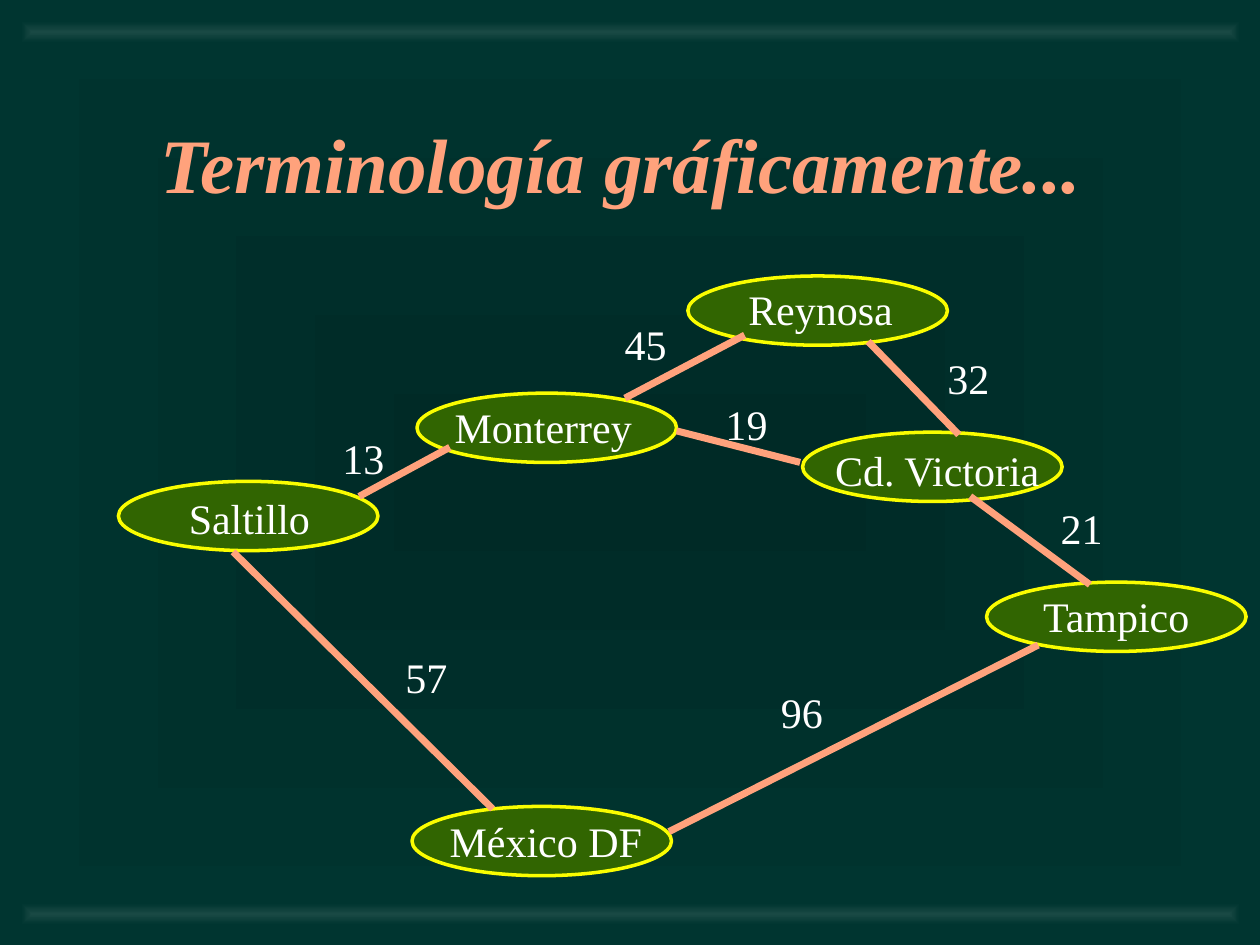
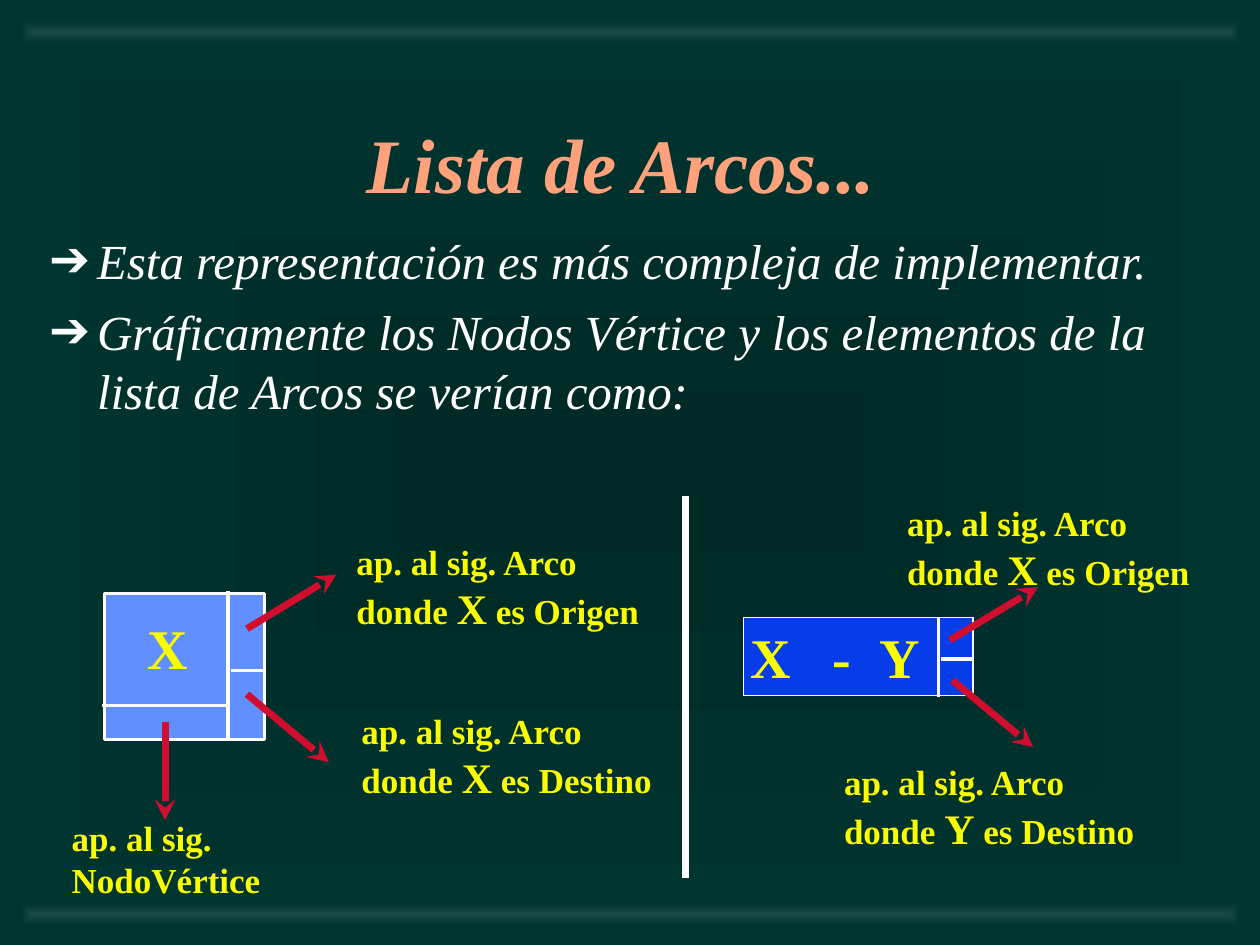
from pptx import Presentation
from pptx.dml.color import RGBColor
from pptx.enum.shapes import MSO_CONNECTOR, MSO_SHAPE
from pptx.enum.text import MSO_ANCHOR, MSO_AUTO_SIZE, PP_ALIGN
from pptx.oxml import parse_xml
from pptx.oxml.ns import nsdecls, qn
from pptx.util import Inches, Pt

LINE = MSO_CONNECTOR.STRAIGHT
RECT, OVAL = MSO_SHAPE.RECTANGLE, MSO_SHAPE.OVAL
NONE, MID, CENTER = MSO_AUTO_SIZE.NONE, MSO_ANCHOR.MIDDLE, PP_ALIGN.CENTER

FONT = "Times New Roman"
DARK = RGBColor(0x00, 0x2A, 0x26)
TEAL = RGBColor(0x00, 0x35, 0x30)
BAND = RGBColor(0x19, 0x49, 0x44)
SALMON = RGBColor(0xFF, 0xA2, 0x7C)
YELLOW = RGBColor(0xFA, 0xFD, 0x00)
GREEN = RGBColor(0x31, 0x65, 0x01)
WHITE = RGBColor(0xFF, 0xFF, 0xFF)
SKY = RGBColor(0x61, 0x8F, 0xFD)
BLUE = RGBColor(0x06, 0x3D, 0xE8)
RED = RGBColor(0xCF, 0x0E, 0x30)

# Graph: name, oval corner, label box (left, top, width)
CITIES = [
    ("Monterrey", (3.31, 3.12), (3.51, 3.14, 1.61)),
    ("Saltillo", (0.94, 3.82), (1.4, 3.86, 1.17)),
    ("México DF", (3.27, 6.4), (3.47, 6.42, 1.73)),
    ("Reynosa", (5.46, 2.19), (5.84, 2.2, 1.35)),
    ("Cd. Victoria", (6.37, 3.43), (6.53, 3.48, 1.85)),
    ("Tampico", (7.83, 4.62), (8.18, 4.64, 1.39)),
]
# Graph: weight, weight corner, start, end
ROADS = [
    ("13", (2.62, 3.38), (2.85, 3.94), (3.57, 3.55)),
    ("96", (6.1, 5.4), (5.31, 6.6), (8.24, 5.12)),
    ("57", (3.12, 5.12), (1.85, 4.38), (3.91, 6.42)),
    ("45", (4.86, 2.48), (4.96, 3.16), (5.91, 2.66)),
    ("32", (7.42, 2.75), (7.61, 3.45), (6.89, 2.71)),
    ("21", (8.32, 3.94), (8.65, 4.64), (7.7, 3.94)),
    ("19", (5.66, 3.11), (6.35, 3.67), (5.37, 3.42)),
]

# Arc list: bullets, boxes, inner lines, arrows and labels
POINTS = [
    "Esta representación es más compleja de implementar.",
    "Gráficamente los Nodos Vértice y los elementos de la lista de Arcos "
    "se verían como:",
]
NODES = [
    ((0.83, 4.71, 1.27, 1.16), SKY, 2),
    ((5.9, 4.9, 1.82, 0.62), BLUE, 1),
]
CUTS = [
    ((1.81, 4.69), (1.81, 5.88)),
    ((0.81, 5.6), (1.81, 5.6)),
    ((1.83, 5.32), (2.09, 5.32)),
    ((7.45, 4.9), (7.45, 5.53)),
    ((7.47, 5.23), (7.72, 5.23)),
]
ARROWS = [
    ((1.31, 5.73), (1.31, 6.51)),
    ((1.96, 5.51), (2.61, 6.05)),
    ((1.96, 4.99), (2.67, 4.56)),
    ((7.56, 5.4), (8.2, 5.93)),
    ((7.54, 5.08), (8.24, 4.66)),
]
KEYS = [
    ((1.07, 4.82, 0.52, 0.63), ["X"]),
    ((5.86, 4.89, 1.65, 0.63), ["X\t-\tY"]),
]
KEY_TABS = (0.65, 1.02)
# Arc list: label box (left, top, width), vertex, role
HINTS = [
    ((2.73, 4.24, 2.45), "X", " es Origen"),
    ((2.77, 5.58, 2.51), "X", " es Destino"),
    ((6.6, 5.99, 2.51), "Y", " es Destino"),
    ((7.1, 3.93, 2.45), "X", " es Origen"),
]


def inch(vals):
    return [Inches(v) for v in vals]


def style(font, size, color, bold=False, slant=False):
    font.name, font.size = FONT, Pt(size)
    font.bold, font.italic = bold, slant
    font.color.rgb = color


def shade(fill, root, inner, outer):
    """Gradient that spreads from the centre to the edges."""
    fill.gradient()
    for stop, color in zip(fill.gradient_stops, (inner, outer)):
        stop.color.rgb = color
    grad = root.find(".//" + qn("a:gradFill"))
    grad.replace(grad.find(qn("a:lin")), parse_xml(
        f'<a:path {nsdecls("a")} path="rect"><a:fillToRect l="50000" '
        't="50000" r="50000" b="50000"/></a:path>'))


def shape(slide, kind, box):
    item = slide.shapes.add_shape(kind, *inch(box))
    item.shadow.inherit = False
    return item


def block(slide, kind, box, fill, edge, width):
    item = shape(slide, kind, box)
    item.fill.solid()
    item.fill.fore_color.rgb = fill
    item.line.color.rgb = edge
    item.line.width = Pt(width)


def line(slide, start, end, color, width, arrow=False):
    item = slide.shapes.add_connector(LINE, *inch(start + end))
    item.line.color.rgb = color
    item.line.width = Pt(width)
    if arrow:
        item.line._get_or_add_ln().append(
            parse_xml(f'<a:tailEnd {nsdecls("a")} type="stealth"/>'))
    item._element.spPr.append(parse_xml(f'<a:effectLst {nsdecls("a")}/>'))


def label(slide, box, rows, size, color, bold=False, tabs=()):
    """Each row is a string or a list of (text, size) parts."""
    frame = slide.shapes.add_textbox(*inch(box)).text_frame
    frame.word_wrap = bool(tabs)
    for i, row in enumerate(rows):
        para = frame.add_paragraph() if i else frame.paragraphs[0]
        if tabs:
            stops = "".join(f'<a:tab pos="{Inches(t)}" algn="l"/>' for t in tabs)
            para._p.get_or_add_pPr().append(
                parse_xml(f'<a:tabLst {nsdecls("a")}>{stops}</a:tabLst>'))
        for text, pts in [(row, size)] if isinstance(row, str) else row:
            run = para.add_run()
            run.text = text
            style(run.font, pts, color, bold)


def start(deck, layout, title):
    slide = deck.slides.add_slide(deck.slide_layouts[layout])
    for top in (0.17, 7.17):
        bar = shape(slide, RECT, (0.17, top, 9.67, 0.17))
        shade(bar.fill, bar._element, BAND, TEAL)
        bar.line.fill.background()
    head = slide.shapes.title
    head.left, head.top, head.width, head.height = inch((0.3, 0.67, 9.26, 1.25))
    frame = head.text_frame
    frame.text = title
    frame.auto_size, frame.vertical_anchor = NONE, MID
    para = frame.paragraphs[0]
    para.alignment = CENTER
    style(para.runs[0].font, 44, SALMON, True, True)
    return slide


def graph(deck):
    slide = start(deck, 5, "Terminología gráficamente...")
    for name, spot, box in CITIES:
        block(slide, OVAL, spot + (2.06, 0.55), GREEN, YELLOW, 2)
        label(slide, box + (0.5,), [name], 24, WHITE)
    for cost, spot, tip, end in ROADS:
        line(slide, tip, end, SALMON, 4)
        label(slide, spot + (0.54, 0.5), [cost], 24, WHITE)


def arcs(deck):
    slide = start(deck, 1, "Lista de Arcos...")

    # Bullets
    body = slide.placeholders[1]
    body.left, body.top, body.width, body.height = inch((0.29, 1.78, 9.6, 2.12))
    frame = body.text_frame
    frame.text = "\n".join(POINTS)
    frame.auto_size = NONE
    for i, para in enumerate(frame.paragraphs):
        props = para._p.get_or_add_pPr()
        props.set("marL", str(Inches(0.38)))
        props.set("indent", str(Inches(-0.38)))
        props.append(parse_xml(
            f'<a:buClr {nsdecls("a")}><a:srgbClr val="{WHITE}"/></a:buClr>'))
        props.append(parse_xml(f'<a:buChar {nsdecls("a")} char="➔"/>'))
        para.space_before = Pt(7 if i else 0)
        style(para.runs[0].font, 28, WHITE, slant=True)

    # Node diagrams and divider
    for box, fill, width in NODES:
        block(slide, RECT, box, fill, WHITE, width)
    for tip, end in CUTS:
        line(slide, tip, end, WHITE, 2)
    line(slide, (5.44, 3.94), (5.44, 6.97), WHITE, 4)
    for tip, end in ARROWS:
        line(slide, tip, end, RED, 4, True)

    # Labels
    for box, rows in KEYS:
        tabs = KEY_TABS if "\t" in rows[0] else ()
        label(slide, box, rows, 32, YELLOW, True, tabs)
    label(slide, (0.47, 6.43, 1.7, 0.77), ["ap. al sig.", "NodoVértice"],
          20, YELLOW, True)
    for box, node, role in HINTS:
        rows = ["ap. al sig. Arco", [("donde ", 20), (node, 24), (role, 20)]]
        label(slide, box + (0.83,), rows, 20, YELLOW, True)


def main():
    deck = Presentation()
    deck.slide_width, deck.slide_height = Inches(10), Inches(7.5)
    master = deck.slide_master
    shade(master.background.fill, master.element, DARK, TEAL)
    graph(deck)
    arcs(deck)
    deck.save("out.pptx")


if __name__ == "__main__":
    main()
